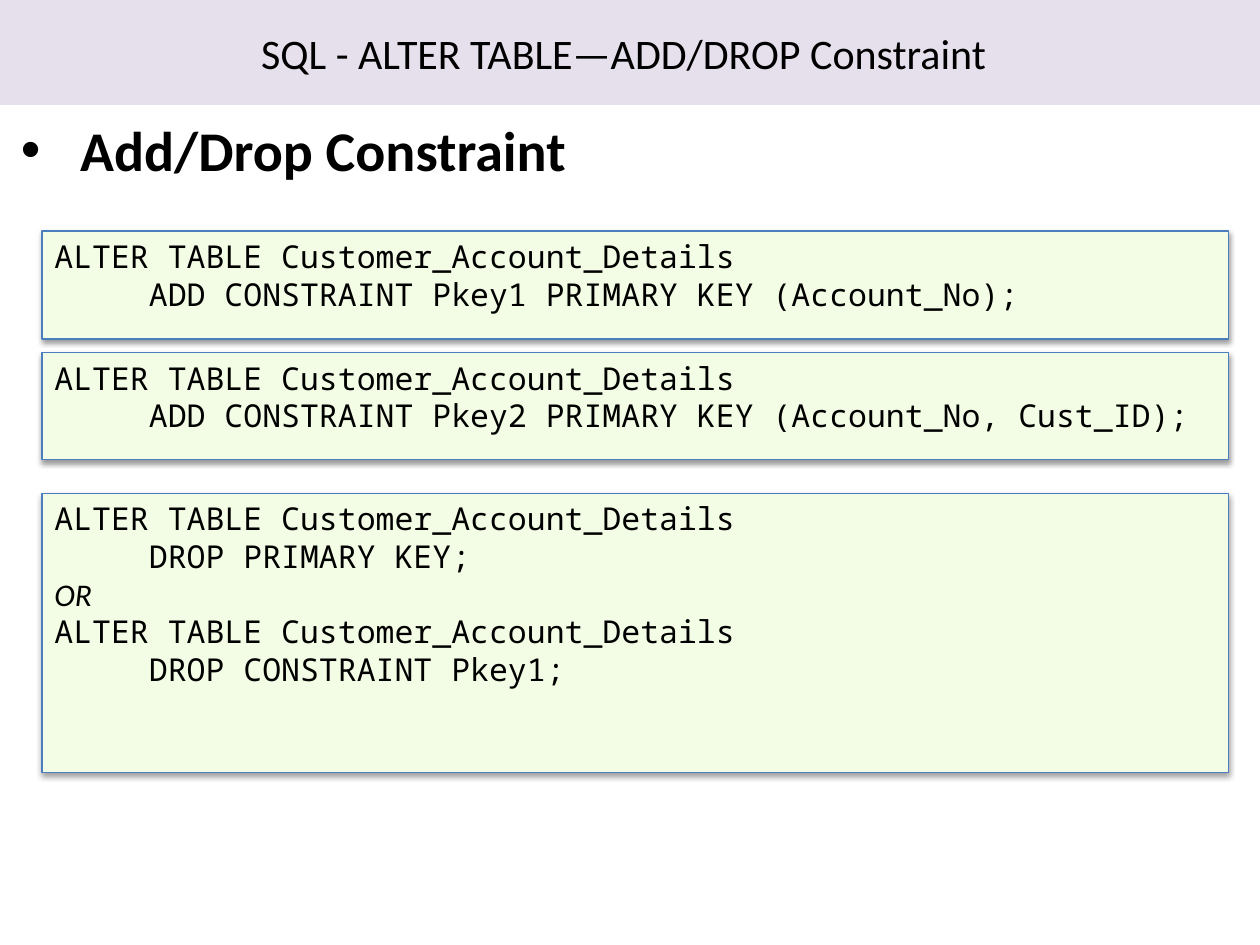
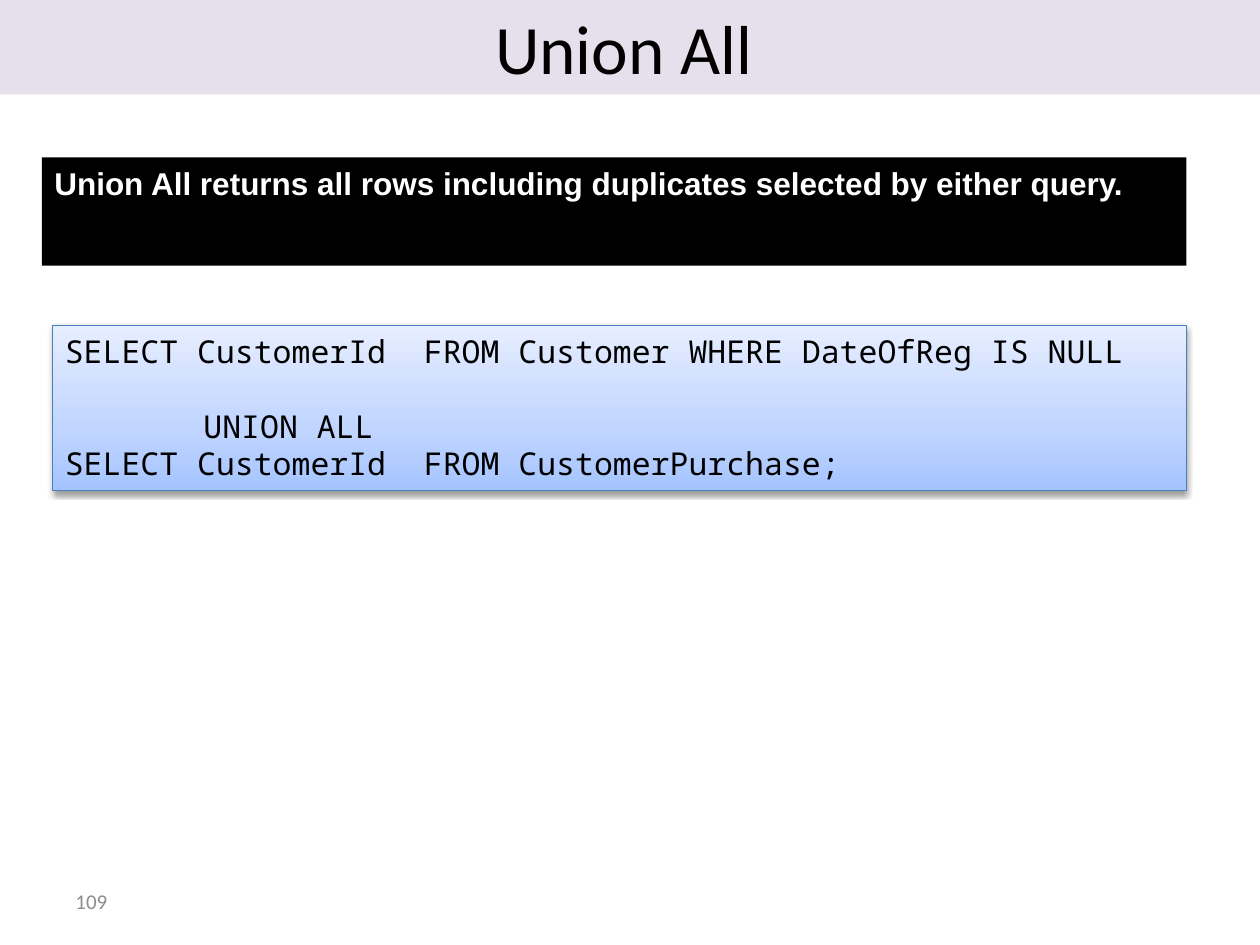
from copy import deepcopy
from lxml.etree import SubElement as Sub
from pptx import Presentation
from pptx.dml.color import RGBColor as Rgb
from pptx.enum.shapes import MSO_SHAPE as Kind
from pptx.enum.text import MSO_ANCHOR as Anchor, MSO_AUTO_SIZE as Auto, PP_ALIGN as Align
from pptx.oxml.ns import qn
from pptx.util import Inches, Pt

UNIT = Inches(1 / 12)
WIDE, HIGH = 120, 90
INK, PAPER, GREY = "000000", "FFFFFF", "8C8C8C"
BAND, MINT, EDGE = "E6E0EC", "F3FCE4", "4B7EBC"
SKY = [(0, "A4C4FF"), (0.35, "BFD4FF"), (1, "E6EEFF")]
BODY, HEAD, MONO = "Calibri", "Arial", "Noto Sans Mono"
PITCH = Pt(21.5)

ADD_ONE = """ALTER TABLE Customer_Account_Details
     ADD CONSTRAINT Pkey1 PRIMARY KEY (Account_No);"""
ADD_TWO = """ALTER TABLE Customer_Account_Details
     ADD CONSTRAINT Pkey2 PRIMARY KEY (Account_No, Cust_ID);"""
DROP = """ALTER TABLE Customer_Account_Details
     DROP PRIMARY KEY;
OR
ALTER TABLE Customer_Account_Details
     DROP CONSTRAINT Pkey1;"""
UNION = """SELECT CustomerId  FROM Customer WHERE DateOfReg IS NULL
\t    UNION ALL
SELECT CustomerId  FROM CustomerPurchase;"""


def tint(code):
    return Rgb.from_string(code)


def grid(box):
    return [round(n * UNIT) for n in box]


def style(para, size, name=BODY, color=INK, bold=False):
    for run in para.runs:
        font = run.font
        font.size, font.name, font.bold = Pt(size), name, bold
        font.color.rgb = tint(color)


def paint(shape, color):
    shape.fill.solid()
    shape.fill.fore_color.rgb = tint(color)


def blend(shape, stops):
    shape.fill.gradient()
    shape.fill.gradient_angle = 90
    marks = shape.element.spPr.find(".//" + qn("a:gsLst"))
    marks.append(deepcopy(marks[-1]))
    for mark, (place, color) in zip(shape.fill.gradient_stops, stops):
        mark.position = place
        mark.color.rgb = tint(color)


def shade(shape):
    effects = shape.element.spPr.find(qn("a:effectLst"))
    outer = Sub(effects, qn("a:outerShdw"), blurRad=str(Pt(3.1)),
                dist=str(Pt(1.6)), dir="5400000", rotWithShape="0")
    ink = Sub(outer, qn("a:srgbClr"), val=INK)
    Sub(ink, qn("a:alpha"), val="38000")


def title(slide, text, rows, size):
    head = slide.shapes.title
    head.left, head.top, head.width, head.height = grid((0, 0, WIDE, rows))
    paint(head, BAND)
    frame = head.text_frame
    frame.text = text
    frame.auto_size = Auto.NONE
    frame.vertical_anchor = Anchor.MIDDLE
    frame.margin_left = 0
    para = frame.paragraphs[0]
    para.alignment = Align.CENTER
    style(para, size)


def panel(slide, box, text):
    shape = slide.shapes.add_shape(Kind.RECTANGLE, *grid(box))
    shape.shadow.inherit = False
    shape.line.fill.background()
    frame = shape.text_frame
    frame.text = text
    frame.word_wrap = True
    frame.vertical_anchor = Anchor.TOP
    for para in frame.paragraphs:
        para.alignment = Align.LEFT
    return shape


def code(slide, box, text):
    shape = panel(slide, box, text)
    paint(shape, MINT)
    shape.line.color.rgb = tint(EDGE)
    shape.line.width = Pt(0.75)
    shade(shape)
    for para in shape.text_frame.paragraphs:
        word = para.text == "OR"
        style(para, 18, BODY if word else MONO)
        para.line_spacing = PITCH
        if word:
            para.runs[0].font.italic = True
    return shape


def note(slide, box, text):
    shape = panel(slide, box, text)
    paint(shape, INK)
    style(shape.text_frame.paragraphs[0], 18, HEAD, PAPER, True)


def label(slide, box, text):
    frame = slide.shapes.add_textbox(*grid(box)).text_frame
    frame.word_wrap = True
    frame.text = text
    return frame


def bullet(slide, box, text):
    frame = label(slide, box, text)
    frame.margin_left = frame.margin_top = 0
    para = frame.paragraphs[0]
    props = para._p.get_or_add_pPr()
    inset = Inches(0.47)
    props.set("marL", str(inset))
    props.set("indent", str(-inset))
    Sub(props, qn("a:buFont"), typeface=HEAD)
    Sub(props, qn("a:buChar"), char="•")
    style(para, 32, bold=True)


def number(slide, box, text):
    frame = label(slide, box, text)
    frame.vertical_anchor = Anchor.MIDDLE
    style(frame.paragraphs[0], 12, color=GREY)


def alter(slide):
    title(slide, "SQL - ALTER TABLE—ADD/DROP Constraint", 10, 24)
    bullet(slide, (2, 11, 112, 8.3), "Add/Drop Constraint")
    for top, rows, text in ((22, 10.3, ADD_ONE), (33.6, 10.2, ADD_TWO),
                            (47, 26.6, DROP)):
        code(slide, (4, top, 113, rows), text)


def union(slide):
    title(slide, "Union All", 9, 39.6)
    note(slide, (4, 15, 109, 10.3),
         "Union All returns all rows including duplicates selected by either query.")
    query = code(slide, (5, 31, 108, 15.7), UNION)
    blend(query, SKY)
    query.text_frame.paragraphs[1].space_before = PITCH
    number(slide, (6, 83.4, 28, 4.8), "109")


def main():
    deck = Presentation()
    deck.slide_width, deck.slide_height = grid((WIDE, HIGH))
    for build in (alter, union):
        build(deck.slides.add_slide(deck.slide_layouts[5]))
    deck.save("out.pptx")


if __name__ == "__main__":
    main()
